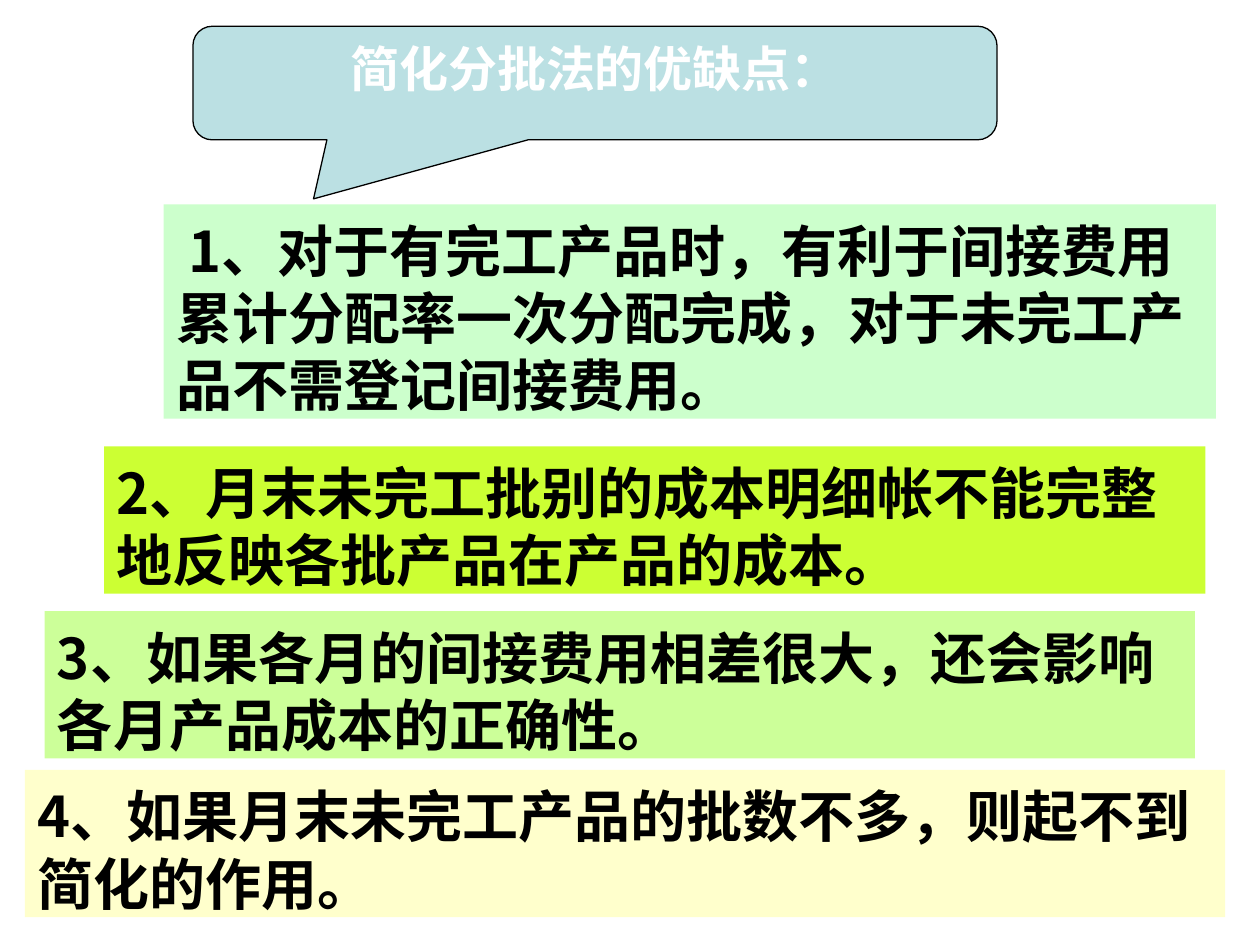
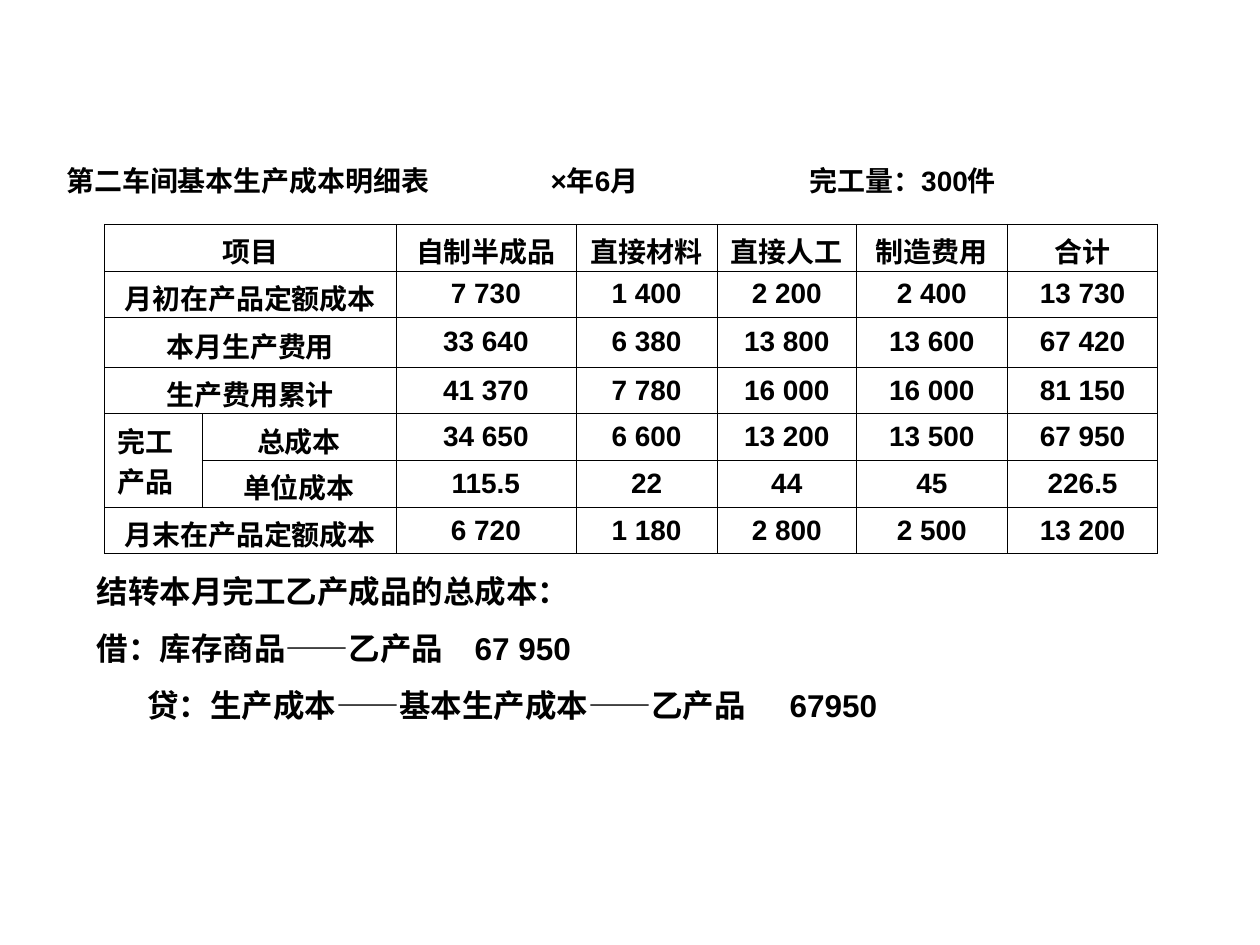
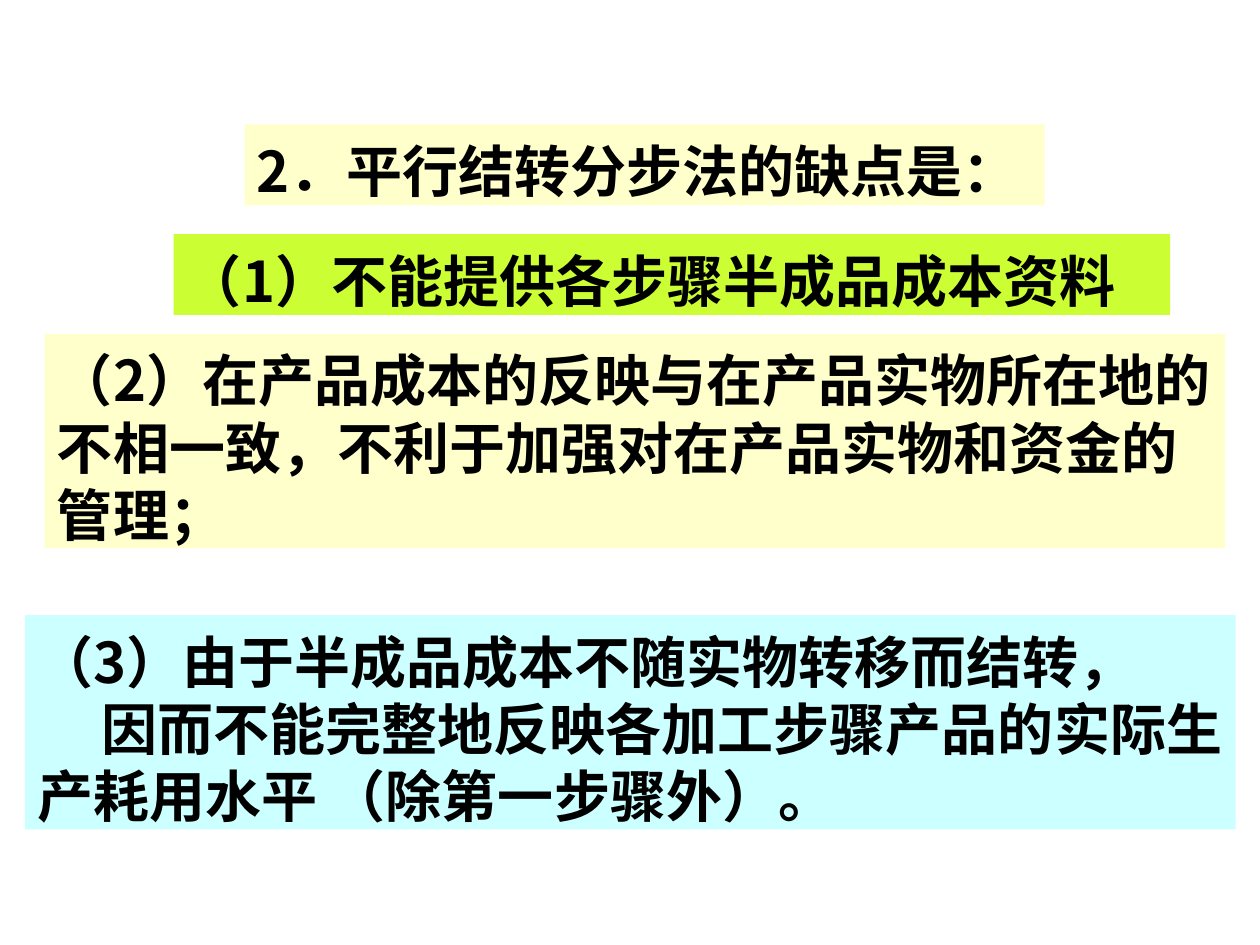
from dataclasses import dataclass

from lxml.etree import SubElement
from pptx import Presentation
from pptx.dml.color import RGBColor as Rgb
from pptx.enum.shapes import MSO_SHAPE as Shape
from pptx.enum.text import MSO_ANCHOR as Anchor, PP_ALIGN as Align
from pptx.oxml import parse_xml
from pptx.oxml.ns import nsdecls, qn
from pptx.util import Cm, Pt


@dataclass(frozen=True)
class Theme:
    black: str = "000000"
    white: str = "FFFFFF"
    callout: str = "BBE0E3"
    mint: str = "CCFFCC"
    lime: str = "CCFF33"
    green: str = "CCFF99"
    cream: str = "FFFFCC"
    cyan: str = "CCFFFF"
    cjk: str = "Noto Sans CJK SC"
    sans: str = "Arial"
    serif: str = "Times New Roman"
    title: int = 28
    body: int = 32
    entry: int = 18
    table: int = 16
    pitch: float = 1.2


theme = Theme()


def style_text(frame, size, font, color=theme.black, align=Align.LEFT, pitch=None):
    frame.word_wrap = True
    for para in frame.paragraphs:
        para.alignment = align
        if pitch:
            para.line_spacing = Pt(size * pitch)
        for span in para.runs:
            span.font.size = Pt(size)
            span.font.bold = True
            span.font.name = font
            span.font.color.rgb = Rgb.from_string(color)
            east_asian = SubElement(span.font._element, qn("a:ea"))
            east_asian.set("typeface", theme.cjk)


def add_block(page, left, top, width, height, text, size, font, fill=None, indents=(), tabs=()):
    if fill:
        box = page.shapes.add_shape(Shape.RECTANGLE, Cm(left), Cm(top), Cm(width), Cm(height))
        box.shadow.inherit = False
        box.fill.solid()
        box.fill.fore_color.rgb = Rgb.from_string(fill)
        box.line.fill.background()
    else:
        box = page.shapes.add_textbox(Cm(left), Cm(top), Cm(width), Cm(height))
    frame = box.text_frame
    frame.text = text
    frame.vertical_anchor = Anchor.TOP
    frame.margin_top = Cm(0.13) + Pt(size * 0.1)
    frame.margin_bottom = 0
    for para, indent in zip(frame.paragraphs, indents):
        para._p.get_or_add_pPr().set("indent", str(Cm(indent)))
    for para, stops in zip(frame.paragraphs, tabs):
        if stops:
            tab_list = SubElement(para._p.get_or_add_pPr(), qn("a:tabLst"))
            for stop in stops:
                SubElement(tab_list, qn("a:tab"), pos=str(Cm(stop)), algn="l")
    style_text(frame, size, font, pitch=theme.pitch)
    return box


deck = Presentation()
deck.slide_width = Cm(25.4)
deck.slide_height = Cm(19.05)
blank = deck.slide_layouts[6]

page = deck.slides.add_slide(blank)
callout = page.shapes.add_shape(
    Shape.ROUNDED_RECTANGULAR_CALLOUT, Cm(3.89), Cm(0.53), Cm(16.21), Cm(2.29))
callout.shadow.inherit = False
for index, value in enumerate((-0.35, 1.02, 0.17)):
    callout.adjustments[index] = value
callout.fill.solid()
callout.fill.fore_color.rgb = Rgb.from_string(theme.callout)
callout.line.color.rgb = Rgb.from_string(theme.black)
callout.line.width = Pt(0.75)
callout.text_frame.text = "简化分批法的优缺点："
callout.text_frame.vertical_anchor = Anchor.TOP
style_text(callout.text_frame, theme.title, theme.serif, theme.white, Align.CENTER)

points = [
    (3.3, 4.12, 21.21, 4.32, theme.mint, 0.25,
     "1、对于有完工产品时，有利于间接费用累计分配率一次分配完成，对于未完工产品不需登记间接费用。"),
    (2.1, 9, 22.2, 2.97, theme.lime, 0,
     "2、月末未完工批别的成本明细帐不能完整地反映各批产品在产品的成本。"),
    (0.9, 12.32, 23.19, 2.97, theme.green, 0,
     "3、如果各月的间接费用相差很大，还会影响各月产品成本的正确性。"),
    (0.5, 15.52, 24.2, 2.97, theme.cream, 0,
     "4、如果月末未完工产品的批数不多，则起不到简化的作用。"),
]
for left, top, width, height, fill, indent, text in points:
    add_block(page, left, top, width, height, text, theme.body, theme.cjk, fill, [indent])

page = deck.slides.add_slide(blank)
rows = [
    ("项目", "", "自制半成品", "直接材料", "直接人工", "制造费用", "合计"),
    ("月初在产品定额成本", "", "7 730", "1 400", "2 200", "2 400", "13 730"),
    ("本月生产费用", "", "33 640", "6 380", "13 800", "13 600", "67 420"),
    ("生产费用累计", "", "41 370", "7 780", "16 000", "16 000", "81 150"),
    ("完工\n产品", "总成本", "34 650", "6 600", "13 200", "13 500", "67 950"),
    ("", "单位成本", "115.5", "22", "44", "45", "226.5"),
    ("月末在产品定额成本", "", "6 720", "1 180", "2 800", "2 500", "13 200"),
]
widths = (1.96, 3.91, 3.63, 2.85, 2.8, 3.05, 3.03)
heights = (0.94, 0.94, 1, 0.94, 0.94, 0.94, 0.94)
table = page.shapes.add_table(
    len(rows), len(widths), Cm(2.11), Cm(4.52), Cm(sum(widths)), Cm(sum(heights))).table
table.first_row = False
table.horz_banding = False
for column, width in zip(table.columns, widths):
    column.width = Cm(width)
for row, height in zip(table.rows, heights):
    row.height = Cm(height)
for row_index, values in enumerate(rows):
    if row_index not in (4, 5):
        table.cell(row_index, 0).merge(table.cell(row_index, 1))
    for column_index, value in enumerate(values):
        cell = table.cell(row_index, column_index)
        cell.vertical_anchor = Anchor.MIDDLE
        cell.fill.background()
        for position, side in enumerate(("lnL", "lnR", "lnT", "lnB")):
            border = parse_xml(
                f'<a:{side} {nsdecls("a")} w="{Pt(0.45)}"><a:solidFill>'
                f'<a:srgbClr val="{theme.black}"/></a:solidFill></a:{side}>')
            cell._tc.get_or_add_tcPr().insert(position, border)
        if not value:
            continue
        cell.text_frame.text = value
        if "\n" in value:
            style_text(cell.text_frame, theme.table, theme.serif)
        elif row_index == 0 or column_index < 2:
            cell.margin_top = Cm(0.26)
            cell.margin_bottom = 0
            font = theme.sans if value == "自制半成品" else theme.serif
            style_text(cell.text_frame, theme.table, font, align=Align.CENTER, pitch=theme.pitch)
        else:
            style_text(cell.text_frame, theme.table, theme.sans, align=Align.CENTER)
table.cell(4, 0).merge(table.cell(5, 0))

add_block(page, 1.09, 3.12, 22.5, 0.94, "第二车间基本生产成本明细表\t×年6月\t完工量：300件",
          theme.table, theme.sans, tabs=[(9.76, 14.98)])
entries = add_block(
    page, 1.7, 11.33, 21.08, 4.5,
    "结转本月完工乙产成品的总成本：\n借：库存商品——乙产品\t67 950\n"
    "贷：生产成本——基本生产成本——乙产品\t67950",
    theme.entry, theme.sans, indents=(0, 0, 1.02), tabs=((), (14.05,), (16.84,)))
for para in entries.text_frame.paragraphs[1:]:
    para.space_before = Pt(11.2)

page = deck.slides.add_slide(blank)
drawbacks = [
    (4.93, 2.51, 16.13, 1.63, theme.cream, (), "2．平行结转分步法的缺点是："),
    (0.5, 12.4, 24.41, 4.32, theme.cyan, (0, 1.3),
     "（3）由于半成品成本不随实物转移而结转，\n"
     "因而不能完整地反映各加工步骤产品的实际生产耗用水平 （除第一步骤外）。"),
    (0.9, 6.73, 23.8, 4.32, theme.cream, (),
     "（2）在产品成本的反映与在产品实物所在地的不相一致，不利于加强对在产品实物和资金的管理；"),
    (3.5, 4.72, 20.09, 1.63, theme.lime, (), "（1）不能提供各步骤半成品成本资料"),
]
for left, top, width, height, fill, indents, text in drawbacks:
    add_block(page, left, top, width, height, text, theme.body, theme.cjk, fill, indents)

deck.save("out.pptx")
